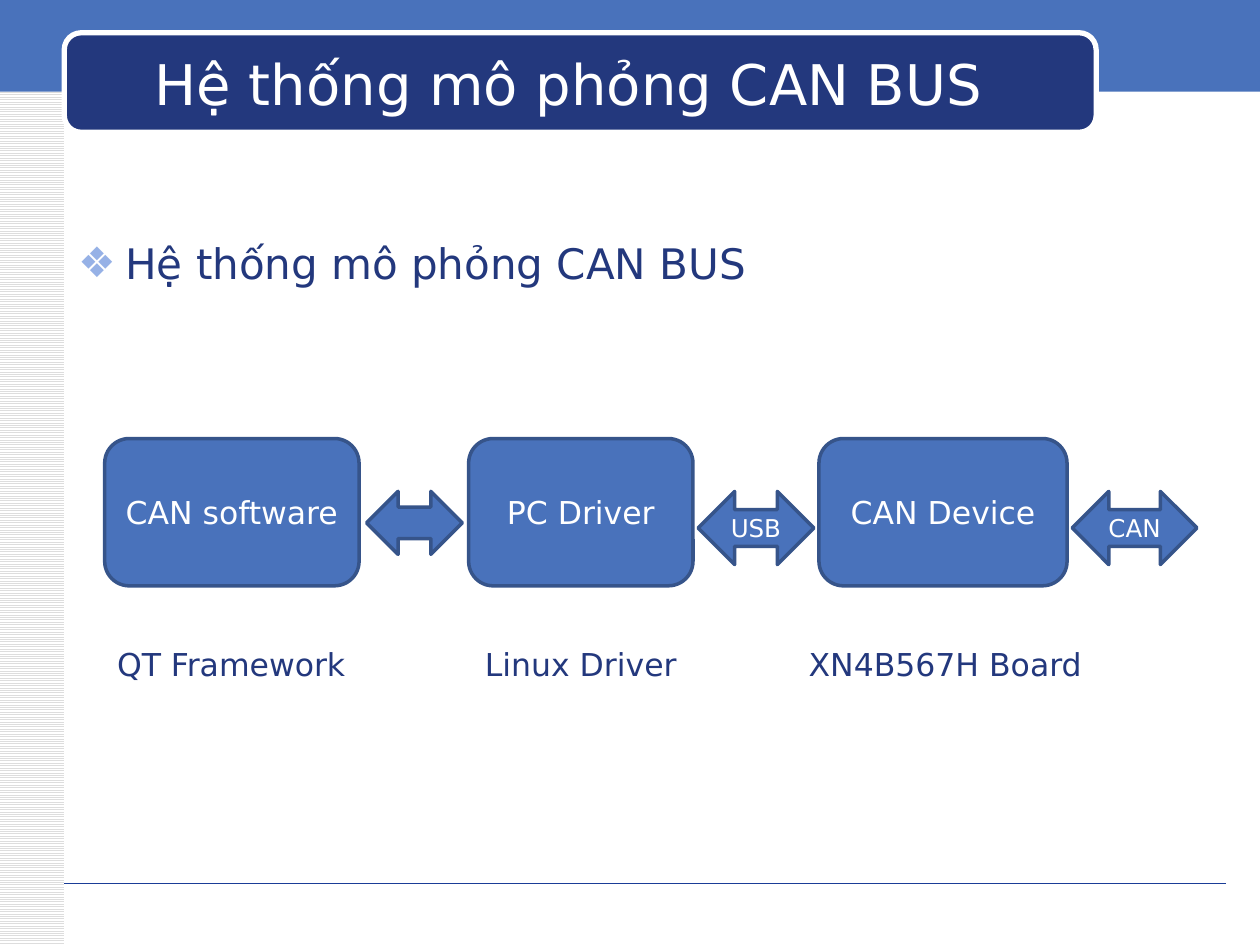
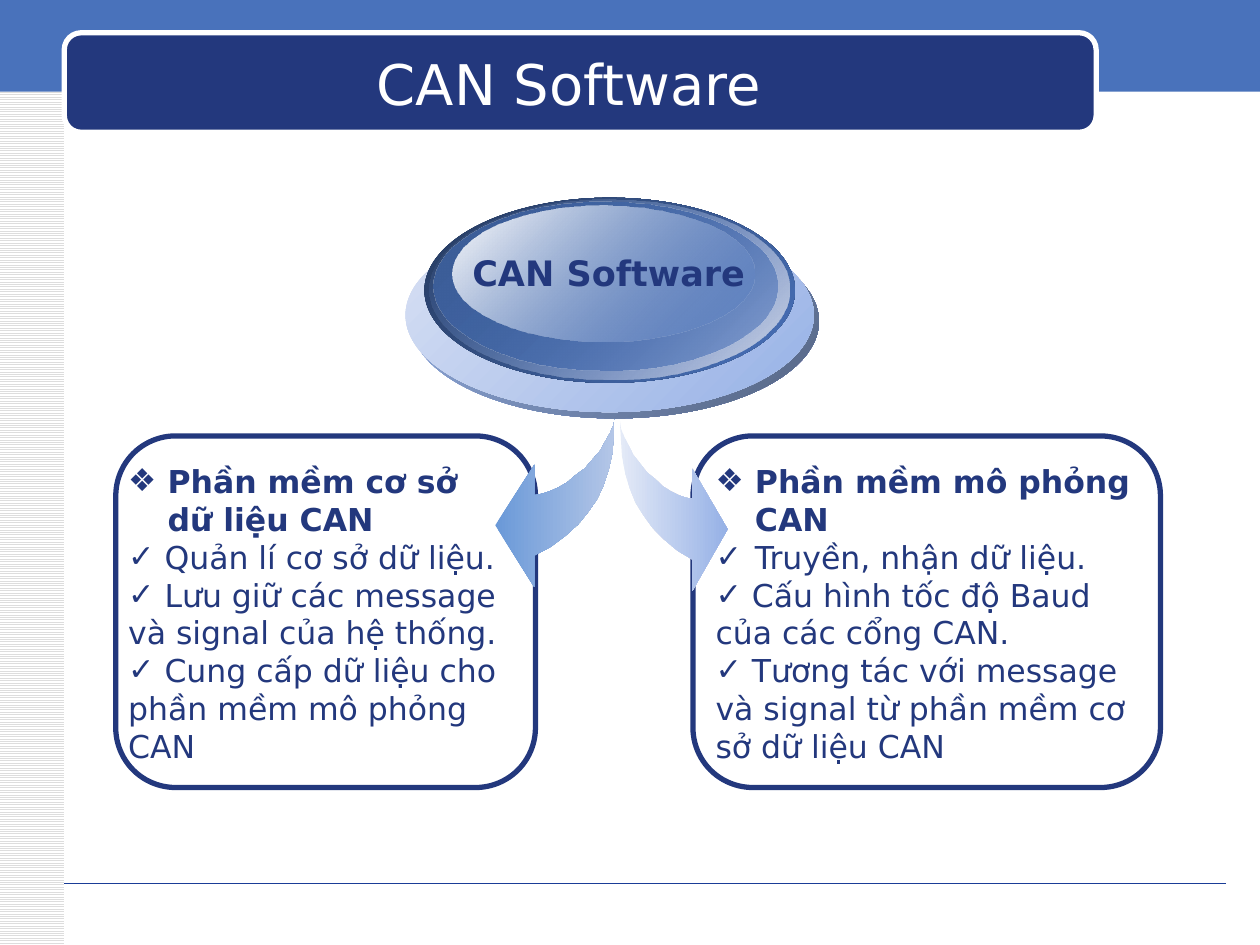
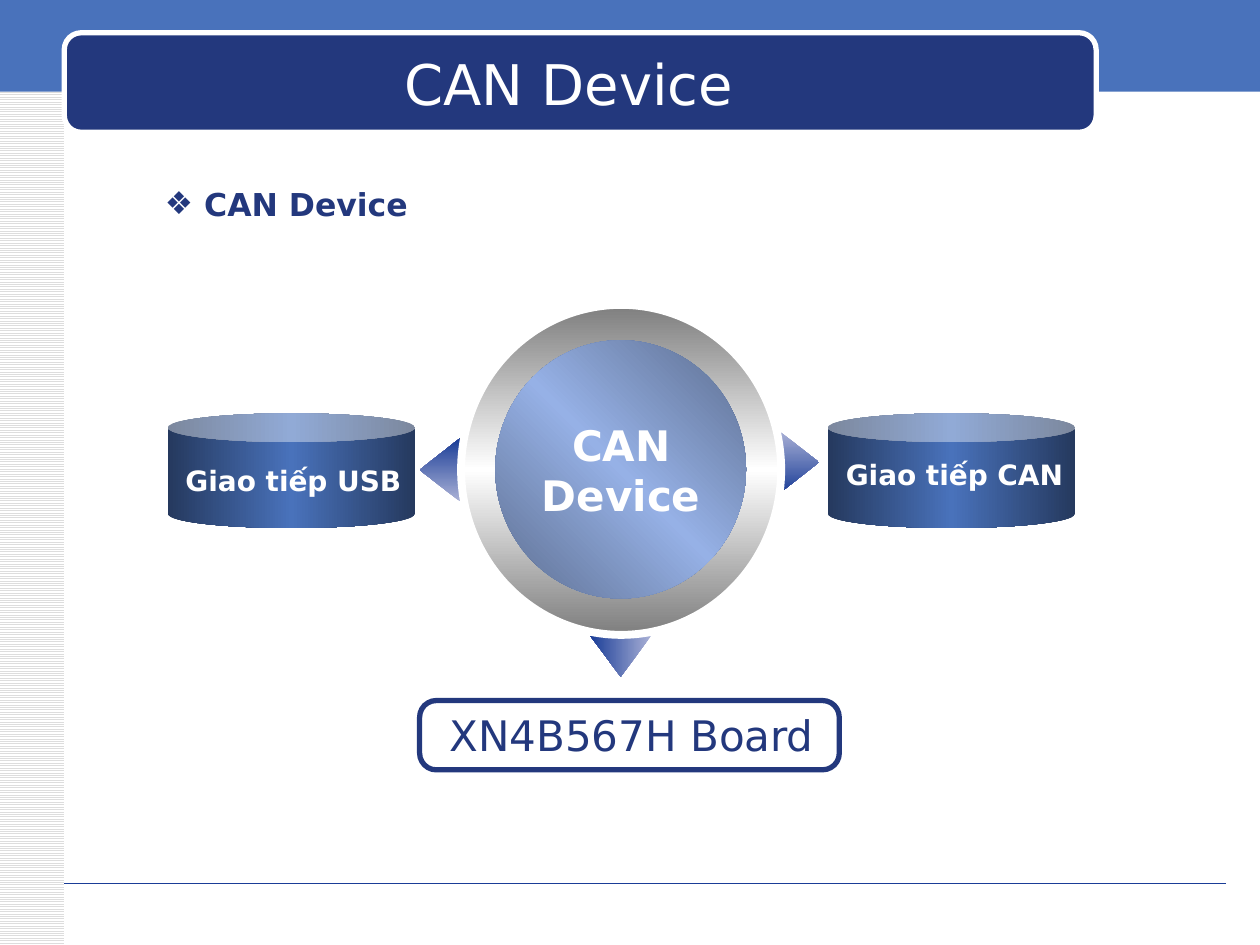
from dataclasses import dataclass
from typing import NamedTuple

from lxml.etree import SubElement
from pptx import Presentation
from pptx.dml.color import RGBColor
from pptx.enum.dml import MSO_PATTERN
from pptx.enum.shapes import MSO_CONNECTOR, MSO_SHAPE as Kind
from pptx.enum.text import MSO_ANCHOR, MSO_AUTO_SIZE as Fit, PP_ALIGN as Align
from pptx.oxml.ns import qn
from pptx.util import Pt


@dataclass(frozen=True)
class Theme:
    font: str = "DejaVu Sans"
    navy: str = "23387D"
    blue: str = "4972BB"
    edge: str = "36548A"
    sky: str = "6A99D8"
    pale: str = "96B1E6"
    white: str = "FFFFFF"
    gray: str = "DDDDDD"
    rule: str = "1A3D97"
    mist: str = "AAB1D6"
    ice: str = "D9E1F4"
    frost: str = "E4EAF7"
    haze: str = "B4C6E7"
    pearl: str = "D6DBEA"
    title: int = 32
    lead: int = 24
    label: int = 20
    body: int = 18
    tag: int = 16
    small: int = 14


T = Theme()
BOARD = "XN4B567H Board"


class Box(NamedTuple):
    left: float
    top: float
    width: float
    height: float


class Stop(NamedTuple):
    color: str
    shade: int = 100
    alpha: int = 100


class Fade(NamedTuple):
    angle: int
    stops: tuple[Stop, ...]


class Line(NamedTuple):
    text: str
    bullet: str = ""
    margin: float = 0
    hang: float = 0
    bold: bool = False
    tint: str = ""


class Block(NamedTuple):
    left: float
    width: float
    name: str
    note: str
    note_left: float
    note_width: float


class Arrow(NamedTuple):
    left: float
    width: float
    height: float
    name: str


class Panel(NamedTuple):
    left: float
    width: float
    text_left: float
    text_width: float
    lines: tuple[Line, ...]


class Drum(NamedTuple):
    left: float
    name: str
    text: Box


def rgb(color: str) -> RGBColor:
    return RGBColor.from_string(color)


def place(item, box: Box) -> None:
    item.left, item.top, item.width, item.height = map(Pt, box)


def write(frame, *lines: Line | str, size: int = T.body, color: str = T.navy,
          bold: bool = False, align: Align | None = None) -> None:
    for pos, line in enumerate(lines):
        if isinstance(line, str):
            line = Line(line, bold=bold)
        para = frame.add_paragraph() if pos else frame.paragraphs[0]
        if align is not None:
            para.alignment = align
        run = para.add_run()
        run.text = line.text
        font = run.font
        font.name, font.size, font.bold = T.font, Pt(size), line.bold
        font.color.rgb = rgb(color)
        props = para._p.get_or_add_pPr()
        if line.margin:
            props.set("marL", str(Pt(line.margin)))
            props.set("indent", str(Pt(-line.hang)))
        if line.bullet:
            if line.tint:
                tone = SubElement(props, qn("a:buClr"))
                SubElement(tone, qn("a:srgbClr"), val=line.tint)
            SubElement(props, qn("a:buFont"), typeface=T.font)
            SubElement(props, qn("a:buChar"), char=line.bullet)


def label(slide, box: Box, *lines: Line | str, wrap: bool = False, **form) -> None:
    frame = slide.shapes.add_textbox(*map(Pt, box)).text_frame
    frame.word_wrap = wrap
    frame.auto_size = Fit.SHAPE_TO_FIT_TEXT
    write(frame, *lines, **form)


def blend(shape, fade: Fade) -> None:
    shape.fill.gradient()
    grad = shape.element.spPr.find(qn("a:gradFill"))
    for child in list(grad):
        grad.remove(child)
    grad.set("rotWithShape", "1")
    group = SubElement(grad, qn("a:gsLst"))
    last = len(fade.stops) - 1
    for pos, stop in enumerate(fade.stops):
        mark = SubElement(group, qn("a:gs"), pos=str(100000 * pos // last))
        color = SubElement(mark, qn("a:srgbClr"), val=stop.color)
        for name, part in (("a:shade", stop.shade), ("a:alpha", stop.alpha)):
            if part < 100:
                SubElement(color, qn(name), val=str(part * 1000))
    SubElement(grad, qn("a:lin"), ang=str(fade.angle * 60000), scaled="0")


def paint(shape, fill: str | Fade | None, line: str | None = None, weight: float = 0) -> None:
    shape.shadow.inherit = False
    if fill is None:
        shape.fill.background()
    elif isinstance(fill, Fade):
        blend(shape, fill)
    else:
        shape.fill.solid()
        shape.fill.fore_color.rgb = rgb(fill)
    if line:
        shape.line.color.rgb = rgb(line)
        shape.line.width = Pt(weight)
    else:
        shape.line.fill.background()


def draw(slide, kind: Kind, box: Box, fill: str | Fade | None, line: str | None = None,
         weight: float = 0, turn: int = 0, bend: tuple[float, ...] = ()):
    shape = slide.shapes.add_shape(kind, *map(Pt, box))
    paint(shape, fill, line, weight)
    shape.rotation = turn
    for pos, value in enumerate(bend):
        shape.adjustments[pos] = value
    return shape


def frame_master(deck, slide) -> None:
    start = len(slide.shapes)
    stripe = draw(slide, Kind.RECTANGLE, Box(0, 0, 36.72, 540), T.white)
    stripe.fill.patterned()
    stripe.fill.pattern = MSO_PATTERN.LIGHT_HORIZONTAL
    stripe.fill.fore_color.rgb = rgb(T.gray)
    stripe.fill.back_color.rgb = rgb(T.white)
    draw(slide, Kind.RECTANGLE, Box(0, -2.16, 720, 54.6), T.blue)
    rule = slide.shapes.add_connector(
        MSO_CONNECTOR.STRAIGHT, Pt(36.72), Pt(504.7), Pt(700.6), Pt(504.7))
    rule.line.color.rgb = rgb(T.rule)
    rule.line.width = Pt(0.1)
    SubElement(rule.element.spPr, qn("a:effectLst"))
    draw(slide, Kind.ROUNDED_RECTANGLE, Box(36.72, 18.7, 589.7, 56.9),
         T.navy, T.white, 3, bend=(0.17,))
    tree = deck.slide_master.shapes.element
    for number, shape in enumerate(list(slide.shapes)[start:], 100):
        shape.element[0][0].set("id", str(number))
        tree.append(shape.element)


def head(slide, name: str) -> None:
    title = slide.shapes.title
    place(title, Box(43.2, 25.2, 563.8, 44.6))
    frame = title.text_frame
    frame.auto_size = Fit.NONE
    frame.vertical_anchor = MSO_ANCHOR.MIDDLE
    write(frame, name, size=T.title, color=T.white, align=Align.CENTER)


BLOCKS = (
    Block(59.8, 145.4, "CAN software", "QT Framework", 59.8, 148.3),
    Block(267.8, 128.2, "PC Driver", "Linux Driver", 270, 126),
    Block(468, 141.8, "CAN Device", BOARD, 455, 180.7),
)
ARROWS = (
    Arrow(209.5, 54.7, 36, ""),
    Arrow(398.9, 66.2, 41.8, "USB"),
    Arrow(612.7, 71.3, 41.8, "CAN"),
)


def system(slide) -> None:
    name = "Hệ thống mô phỏng CAN BUS"
    head(slide, name)
    body = slide.placeholders[1]
    place(body, Box(37.4, 132, 684, 57.6))
    body.text_frame.auto_size = Fit.NONE
    write(body.text_frame, Line(name, "❖", 27, 27, tint=T.pale), size=T.lead)
    for block in BLOCKS:
        shape = draw(slide, Kind.ROUNDED_RECTANGLE,
                     Box(block.left, 250.6, block.width, 84.2), T.blue, T.edge, 2)
        write(shape.text_frame, block.name, color=T.white, align=Align.CENTER)
        label(slide, Box(block.note_left, 365, block.note_width, 28.8), block.note)
    for arrow in ARROWS:
        shape = draw(slide, Kind.LEFT_RIGHT_ARROW,
                     Box(arrow.left, 280.8, arrow.width, arrow.height), T.blue, T.edge, 2)
        if arrow.name:
            write(shape.text_frame, arrow.name, size=T.small, color=T.white,
                  align=Align.CENTER)


PANELS = (
    Panel(396, 267.1, 401.8, 257.8, (
        Line("Phần mềm mô phỏng CAN", "❖", 22.5, 22.5, True),
        Line("Truyền, nhận dữ liệu.", "✓", 22.5, 22.5),
        Line(" Cấu hình tốc độ Baud của các cổng CAN.", "✓"),
        Line(" Tương tác với message và signal từ phần mềm cơ sở dữ liệu CAN", "✓"),
    )),
    Panel(66.2, 239.8, 66.2, 228.2, (
        Line("Phần mềm cơ sở dữ liệu CAN", "❖", 22.5, 22.5, True),
        Line(" Quản lí cơ sở dữ liệu.", "✓"),
        Line(" Lưu giữ các message và signal của hệ thống.", "✓"),
        Line(" Cung cấp dữ liệu cho phần mềm mô phỏng CAN", "✓"),
    )),
)
SWOOP = (
    (0, 0), (0.7, 10.8), (1.4, 20.9), (3.6, 31), (6.5, 39.6), (10.1, 47.5),
    (15.1, 54.7), (20.9, 61.9), (28.1, 68.4), (36.7, 74.9), (46.1, 79.9),
    (46.1, 97.9), (68.4, 62.6), (46.1, 28.1), (46.1, 45.4), (41.8, 44.6),
    (37.4, 43.2), (32.4, 41), (27.4, 38.2), (22.3, 33.8), (17.3, 30.2),
    (13, 25.2), (8.6, 20.2), (5.8, 15.1), (2.9, 10.1), (0.7, 5),
)
DISCS = (
    (Box(234.7, 128.2, 233.3, 110.9), Stop(T.pale), Stop(T.pale, shade=27)),
    (Box(231.8, 124.6, 233.3, 110.9), Stop(T.ice), Stop(T.pale)),
    (Box(242.6, 113, 211.7, 105.8), Stop(T.blue, shade=21), Stop(T.blue)),
    (Box(245.5, 113.8, 205.9, 103), Stop(T.blue, alpha=0), Stop(T.pearl)),
    (Box(247.7, 115.2, 196.6, 96.5), Stop(T.blue, shade=63), Stop(T.blue, alpha=48)),
    (Box(258.5, 117.4, 172.8, 77.8), Stop(T.white), Stop(T.blue, alpha=38)),
)


def swoop(slide, left: float, top: float, reach: float, fade: Fade) -> None:
    dots = [(Pt(left + reach * x), Pt(top + y)) for x, y in SWOOP]
    pen = slide.shapes.build_freeform(*dots[0], scale=1.0)
    pen.add_line_segments(dots[1:], close=True)
    paint(pen.convert_to_shape(), fade)


def software(slide) -> None:
    head(slide, "CAN Software")
    for panel in PANELS:
        draw(slide, Kind.ROUNDED_RECTANGLE, Box(panel.left, 249.1, panel.width, 200.9),
             None, T.navy, 3, bend=(0.17,))
        label(slide, Box(panel.text_left, 260.6, panel.text_width, 181.4),
              *panel.lines, wrap=True)
    swoop(slide, 351.4, 237.6, -1, Fade(0, (Stop(T.sky), Stop(T.haze))))
    swoop(slide, 354.2, 239.8, 0.9, Fade(0, (Stop(T.frost), Stop(T.pale))))
    for box, *stops in DISCS:
        draw(slide, Kind.OVAL, box, Fade(45, tuple(stops)))
    label(slide, Box(262.8, 140.4, 171.4, 31.7), "CAN Software", size=T.label, bold=True)


POINTS = (
    (Box(233.3, 257, 36, 23), 270),
    (Box(438.5, 252.7, 36, 23), 90),
    (Box(337, 362.9, 35.3, 23.8), 180),
)
DRUMS = (
    Drum(473, "Giao tiếp CAN", Box(475.9, 257.8, 139, 26.6)),
    Drum(95.8, "Giao tiếp USB", Box(98.6, 261.4, 138.2, 26.6)),
)


def sheen(angle: int, rim: Stop, core: Stop) -> Fade:
    return Fade(angle, (rim, core, rim))


def device(slide) -> None:
    head(slide, "CAN Device")
    for box, turn in POINTS:
        draw(slide, Kind.UP_ARROW, box, Fade(0, (Stop(T.mist), Stop(T.rule))),
             turn=turn, bend=(0.52, 1))
    draw(slide, Kind.OVAL, Box(263.5, 174.2, 182.9, 188.6),
         sheen(90, Stop(T.white, shade=20), Stop(T.white)), T.white, 4.5)
    for fade in (sheen(45, Stop(T.white), Stop(T.pale)),
                 sheen(315, Stop(T.pale, shade=33), Stop(T.pale))):
        draw(slide, Kind.OVAL, Box(283, 194.4, 143.3, 147.6), fade)
    label(slide, Box(279.4, 236.2, 151.2, 65.5), "CAN Device", wrap=True,
          size=T.lead, color=T.white, bold=True, align=Align.CENTER)
    for drum in DRUMS:
        draw(slide, Kind.CAN, Box(drum.left, 236.2, 141.5, 65.5),
             sheen(0, Stop(T.blue, shade=21), Stop(T.blue)), bend=(0.25,))
        label(slide, drum.text, drum.name, size=T.tag, color=T.white, bold=True,
              align=Align.CENTER)
    draw(slide, Kind.ROUNDED_RECTANGLE, Box(239.8, 400.3, 239.8, 39.6),
         T.white, T.navy, 3, bend=(0.24,))
    label(slide, Box(213.8, 401.8, 272.2, 36), Line(BOARD, margin=36), size=T.lead)
    label(slide, Box(87.1, 102.2, 154.1, 28.8), Line("CAN Device", "❖", 22.5, 22.5, True))


def main() -> None:
    deck = Presentation()
    deck.slide_width, deck.slide_height = Pt(720), Pt(540)
    for pos, (layout, build) in enumerate(((1, system), (5, software), (5, device))):
        slide = deck.slides.add_slide(deck.slide_layouts[layout])
        if pos == 0:
            frame_master(deck, slide)
        build(slide)
    deck.save("out.pptx")


if __name__ == "__main__":
    main()
